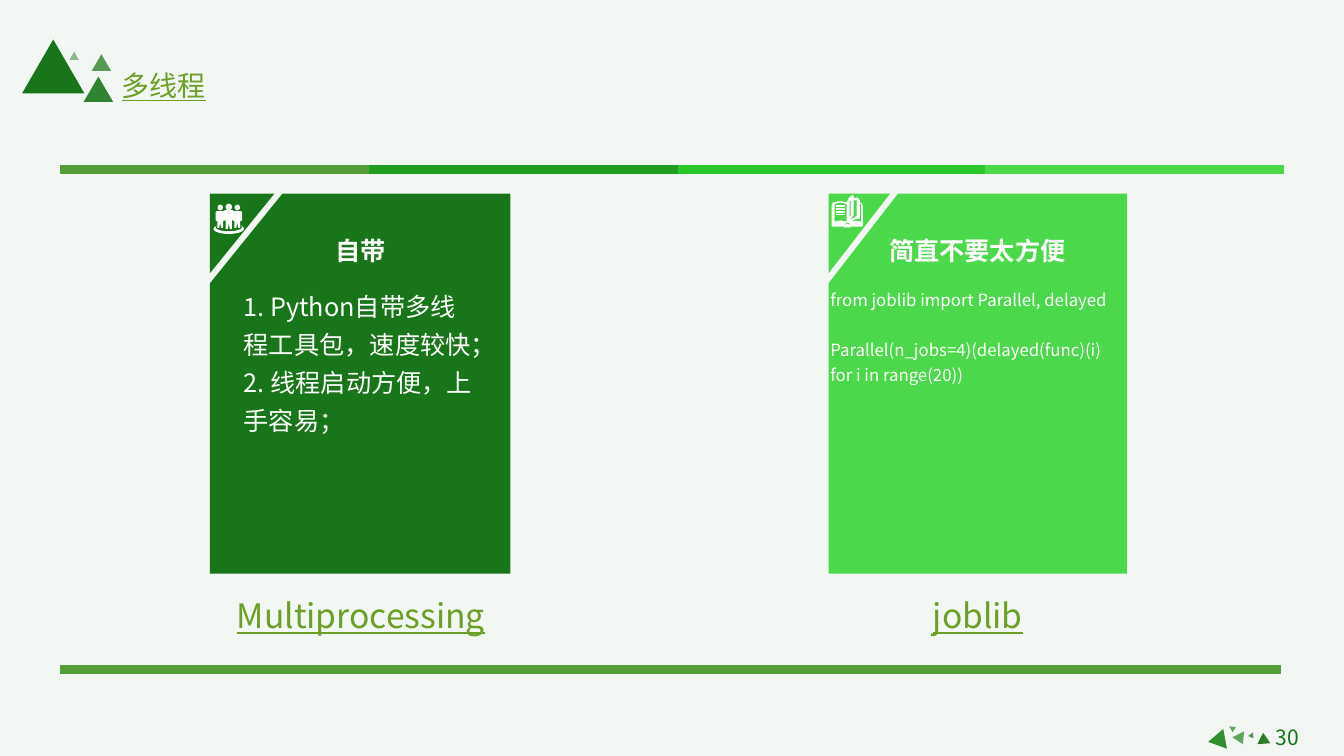
import math
from dataclasses import dataclass

from lxml import etree
from pptx import Presentation
from pptx import util as u
from pptx.dml.color import RGBColor
from pptx.enum import shapes, text
from pptx.oxml.ns import qn


@dataclass(frozen=True)
class Theme:
    font: str = "Noto Sans CJK SC"
    paper: str = "F3F7F3"
    deep: str = "197519"
    bright: str = "4BD94B"
    rule: str = "549E39"
    link: str = "6B9F25"
    white: str = "FFFFFF"
    bands: tuple = ("549E39", "219E21", "2AC72A", "4BD94B")
    label_size: float = 24
    title_size: float = 20
    body_size: float = 18
    page_size: float = 15
    code_size: float = 12
    rule_width: float = 6.75


THEME = Theme()
WIDTH, HEIGHT = u.Inches(13.33), u.Inches(7.5)
COLUMNS, ROWS = 160, 90
CARD_TOP, CARD_HEIGHT = 23.04, 45.24


def col(n):
    return u.Emu(round(WIDTH * n / COLUMNS))


def row(n):
    return u.Emu(round(HEIGHT * n / ROWS))


def paint(shape, color, opacity=100):
    shape.shadow.inherit = False
    shape.fill.solid()
    shape.fill.fore_color.rgb = RGBColor.from_string(color)
    shape.line.fill.background()
    if opacity < 100:
        rgb = shape.fill._xPr.find(qn("a:solidFill"))[0]
        etree.SubElement(rgb, qn("a:alpha"), val=str(opacity * 1000))


def add_preset(slide, kind, left, top, width, height, color, opacity=100, turn=0):
    shape = slide.shapes.add_shape(kind, col(left), row(top), col(width), row(height))
    paint(shape, color, opacity)
    shape.rotation = turn


def add_outline(slide, color, *contours):
    """Draw closed contours, each a list of (column, row) points, as one shape."""
    placed = [[(col(x), row(y)) for x, y in contour] for contour in contours]
    builder = slide.shapes.build_freeform(*placed[0][0], scale=1.0)
    for index, contour in enumerate(placed):
        if index:
            builder.move_to(*contour[0])
        builder.add_line_segments(contour[1:], close=True)
    paint(builder.convert_to_shape(), color)


def add_rule(slide, start, end, level, color):
    rule = slide.shapes.add_connector(
        shapes.MSO_CONNECTOR.STRAIGHT, col(start), row(level), col(end), row(level))
    rule.line.color.rgb = RGBColor.from_string(color)
    rule.line.width = u.Pt(THEME.rule_width)
    etree.SubElement(rule._element.spPr, qn("a:effectLst"))


def add_text(slide, left, top, width, height, lines, size, color, align="LEFT",
             spacing=None, wrap=True, bold=False, underline=False, gap_before=None):
    """Write lines as paragraphs; gap_before maps a line index to points above it."""
    frame = slide.shapes.add_textbox(col(left), row(top), col(width), row(height)).text_frame
    frame.word_wrap = wrap
    frame.auto_size = text.MSO_AUTO_SIZE.SHAPE_TO_FIT_TEXT
    frame.text = "\n".join(lines)
    for index, paragraph in enumerate(frame.paragraphs):
        paragraph.alignment = text.PP_ALIGN[align]
        if spacing:
            paragraph.line_spacing = spacing
        if gap_before and index in gap_before:
            paragraph.space_before = u.Pt(gap_before[index])
        font = paragraph.font
        font.name, font.size = THEME.font, u.Pt(size)
        font.color.rgb = RGBColor.from_string(color)
        font.bold, font.underline = bold, underline
        defaults = paragraph._p.pPr.find(qn("a:defRPr"))
        etree.SubElement(defaults, qn("a:ea"), typeface=THEME.font)


def add_triangles(slide, triangles):
    for left, top, width, height, color, opacity, turn in triangles:
        add_preset(slide, shapes.MSO_SHAPE.ISOSCELES_TRIANGLE,
                   left, top, width, height, color, opacity, turn)


def add_card(slide, left, width, cut, corner, color):
    """Draw a panel whose top left corner is split off by a slanted gap."""
    right, bottom = left + width, CARD_TOP + CARD_HEIGHT
    add_outline(
        slide, color,
        [(left + cut, CARD_TOP), (right, CARD_TOP), (right, bottom),
         (left, bottom), (left, CARD_TOP + 10.68)],
        [(left, CARD_TOP), (left + corner, CARD_TOP), (left, CARD_TOP + 9.48)])


def add_people_icon(slide, center, top):
    for offset, drop, head, body, legs in (
            (-1.02, 0.12, 0.64, 1.1, 2.76), (1.02, 0.12, 0.64, 1.1, 2.76),
            (0, 0, 0.76, 1.2, 3)):
        x, y = center + offset, top + drop
        add_preset(slide, shapes.MSO_SHAPE.OVAL, x - head / 2, y, head, head + 0.06, THEME.white)
        add_preset(slide, shapes.MSO_SHAPE.ROUNDED_RECTANGLE,
                   x - body / 2, y + 0.78, body, 1.2, THEME.white)
        half = body * 0.31
        add_outline(slide, THEME.white, [
            (x - half, y + 1.5), (x + half, y + 1.5), (x + half, y + legs),
            (x + 0.12, y + legs), (x, y + legs - 0.6),
            (x - 0.12, y + legs), (x - half, y + legs)])
    sweep = [math.radians(a) for a in range(-30, 211, 15)]
    outer = [(center + 1.82 * math.cos(a), top + 3 + 0.62 * math.sin(a)) for a in sweep]
    inner = [(center + 1.58 * math.cos(a), top + 2.8 + 0.5 * math.sin(a)) for a in sweep]
    add_outline(slide, THEME.white, outer + inner[::-1])


def add_book_icon(slide, left, top, page_color):
    def place(points):
        return [(left + x, top + y) for x, y in points]

    def block(x, y, width, height):
        return place([(x, y), (x + width, y), (x + width, y + height), (x, y + height)])

    add_outline(slide, THEME.white, place([
        (0, 1.3), (0.12, 0.9), (1, 0.72), (1.8, 0.85), (2.05, 0.35), (2.4, 0),
        (2.64, 0.1), (2.64, 0.4), (3.1, 0.3), (3.36, 0.6), (3.36, 0.9),
        (3.6, 1), (3.72, 1.3), (3.72, 3.65), (3.6, 3.75), (2.28, 3.75),
        (2.28, 3.85), (1.44, 3.85), (1.44, 3.75), (0.12, 3.75), (0, 3.65)]))
    add_outline(slide, page_color,
                place([(0.36, 1.1), (1.05, 0.88), (1.8, 1.1), (1.8, 3.15),
                       (1.05, 3.03), (0.36, 3.15)]),
                block(2.16, 0.7, 0.12, 1.8),
                place([(2.64, 0.65), (3, 0.62), (3, 2.5), (2.2, 2.9), (2.64, 2.4)]),
                place([(3.36, 1.1), (3.5, 1.1), (3.5, 3.15), (2.4, 3.03), (3.36, 2.8)]),
                place([(1.56, 3.55), (1.92, 3.25), (2.28, 3.55), (1.92, 3.4)]))
    for line in range(4):
        add_outline(slide, THEME.white, block(0.5, 1.24 + 0.34 * line, 1.1, 0.17))


def main():
    deck = Presentation()
    deck.slide_width, deck.slide_height = WIDTH, HEIGHT
    slide = deck.slides.add_slide(deck.slide_layouts[6])
    slide.background.fill.solid()
    slide.background.fill.fore_color.rgb = RGBColor.from_string(THEME.paper)

    band_stops = (7.2, 43.95, 80.7, 117.25, 152.8)
    for start, end, color in zip(band_stops, band_stops[1:], THEME.bands):
        add_rule(slide, start, end, 20.16, color)
    add_rule(slide, 7.2, 152.55, 79.68, THEME.rule)

    add_triangles(slide, [
        (2.64, 4.7, 7.4, 6.4, THEME.deep, 100, 0),
        (9.96, 9.12, 3.5, 3, THEME.deep, 89, 0),
        (8.28, 6.14, 1.1, 1, THEME.deep, 47, 0),
        (10.92, 6.45, 2.3, 2, THEME.deep, 72, 0),
        (146.9, 87.36, 1.56, 1.3, "5EA45A", 100, 153.9),
        (143.64, 87.12, 2.4, 2.04, "309030", 100, 259.5),
        (149.64, 87.24, 1.56, 1.3, "2B7E2A", 100, 356.2),
        (146.28, 86.3, 0.72, 0.72, "5EA45A", 100, 303.5),
        (148.68, 87.36, 0.72, 0.6, "559551", 100, 145.8)])
    add_text(slide, 13.32, 7.56, 12.48, 5.28, ["多线程"], THEME.title_size, THEME.link,
             wrap=False, underline=True)
    add_text(slide, 149.16, 85.68, 8.16, 4.2, ["30"], THEME.page_size, THEME.deep, "CENTER")

    add_card(slide, 25, 35.76, 8.64, 7.68, THEME.deep)
    add_people_icon(slide, 27.24, 24.24)
    add_card(slide, 98.64, 35.52, 8.28, 7.32, THEME.bright)
    add_book_icon(slide, 99, 23.22, THEME.bright)

    for left, width, heading in ((38.64, 8.52, "自带"), (104.52, 23.64, "简直不要太方便")):
        add_text(slide, left, 26.52, width, 5.4, [heading], THEME.body_size, THEME.white,
                 "CENTER", spacing=1.25, wrap=False, bold=True)
    for left, library in ((26.4, "Multiprocessing"), (99.84, "joblib")):
        add_text(slide, left, 70.2, 33.12, 6.12, [library], THEME.label_size, THEME.link,
                 "CENTER", underline=True)

    add_text(slide, 27.84, 33.24, 30.24, 19.44,
             ["1. Python自带多线程工具包，速度较快；", "2. 线程启动方便，上手容易；"],
             THEME.body_size, THEME.white, spacing=1.25)
    add_text(slide, 97.68, 33.24, 37.92, 13.32,
             ["from joblib import Parallel, delayed",
              "Parallel(n_jobs=4)(delayed(func)(i)", "for i in range(20))"],
             THEME.code_size, THEME.white, spacing=1.25, gap_before={1: 18})

    deck.save("out.pptx")


if __name__ == "__main__":
    main()
